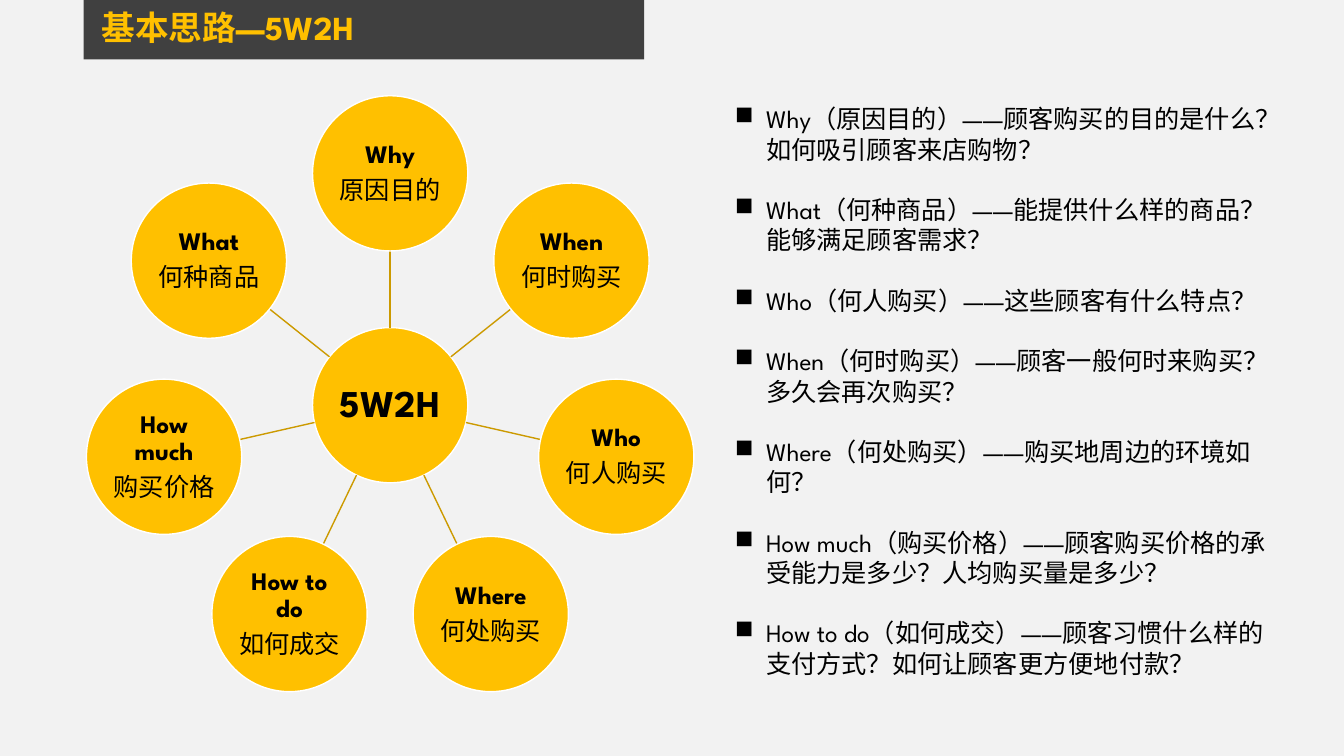
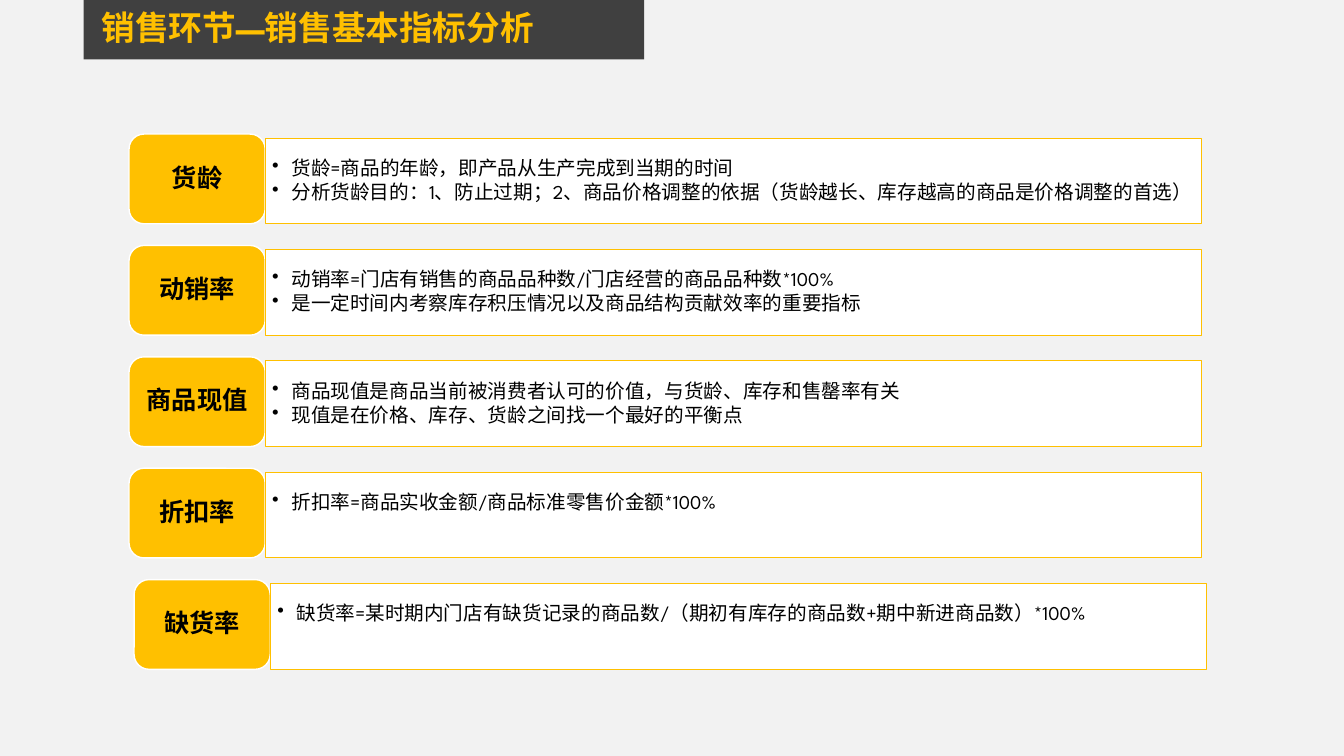
"""Build two slides on sales analysis."""
from dataclasses import dataclass
from math import cos, pi, sin

from lxml.etree import SubElement
from pptx import Presentation
from pptx.dml.color import RGBColor
from pptx.enum.shapes import MSO_CONNECTOR, MSO_SHAPE
from pptx.enum.text import MSO_ANCHOR, PP_ALIGN
from pptx.oxml.ns import qn
from pptx.util import Inches, Pt


@dataclass(frozen=True)
class Theme:
    """Hold the colours, font and type sizes."""
    page: str = "F2F2F2"
    band: str = "404040"
    gold: str = "FFC000"
    spoke: str = "CC9A00"
    white: str = "FFFFFF"
    ink: str = "000000"
    font: str = "League Spartan"
    title: int = 24
    hub: int = 27
    body: int = 18
    note: int = 14


THEME = Theme()

WHEEL = [
    ("Why", "原因目的"),
    ("When", "何时购买"),
    ("Who", "何人购买"),
    ("Where", "何处购买"),
    ("How to do", "如何成交"),
    ("How much", "购买价格"),
    ("What", "何种商品"),
]

POINTS = [
    "Why（原因目的）——顾客购买的目的是什么？如何吸引顾客来店购物？",
    "What（何种商品）——能提供什么样的商品？能够满足顾客需求？",
    "Who（何人购买）——这些顾客有什么特点？",
    "When（何时购买）——顾客一般何时来购买？多久会再次购买？",
    "Where（何处购买）——购买地周边的环境如何？",
    "How much（购买价格）——顾客购买价格的承受能力是多少？人均购买量是多少？",
    "How to do（如何成交）——顾客习惯什么样的支付方式？如何让顾客更方便地付款？",
]

ROWS = [
    ("货龄", ["货龄=商品的年龄，即产品从生产完成到当期的时间",
            "分析货龄目的：1、防止过期；2、商品价格调整的依据（货龄越长、库存越高的商品是价格调整的首选）"]),
    ("动销率", ["动销率=门店有销售的商品品种数/门店经营的商品品种数*100%",
             "是一定时间内考察库存积压情况以及商品结构贡献效率的重要指标"]),
    ("商品现值", ["商品现值是商品当前被消费者认可的价值，与货龄、库存和售罄率有关",
              "现值是在价格、库存、货龄之间找一个最好的平衡点"]),
    ("折扣率", ["折扣率=商品实收金额/商品标准零售价金额*100%"]),
    ("缺货率", ["缺货率=某时期内门店有缺货记录的商品数/（期初有库存的商品数+期中新进商品数）*100%"]),
]


def write(frame, text, first=False, size=THEME.body, color=THEME.ink, bold=False,
          align=PP_ALIGN.LEFT, line=None, before=0, after=0, mark=None, indent=0):
    """Add one formatted paragraph to a text frame."""
    para = frame.paragraphs[0] if first else frame.add_paragraph()
    para.alignment = align
    if line:
        para.line_spacing = line
    para.space_before = Pt(0 if first else before)
    para.space_after = Pt(after)
    if mark:
        props = para._p.get_or_add_pPr()
        props.set("marL", str(Inches(indent)))
        props.set("indent", str(-Inches(indent)))
        SubElement(props, qn("a:buChar")).set("char", mark)
    run = para.add_run()
    run.text = text
    font = run.font
    font.name, font.size, font.bold = THEME.font, Pt(size), bold
    font.color.rgb = RGBColor.from_string(color)
    SubElement(run._r.get_or_add_rPr(), qn("a:ea")).set("typeface", THEME.font)


class Deck:
    """Hold the style and the current slide."""

    def __init__(self, theme):
        """Start a wide deck with the shared page colour."""
        self.theme = theme
        self.show = Presentation()
        self.show.slide_width, self.show.slide_height = Inches(13.33), Inches(7.5)
        self.paint(self.show.slide_master.background.fill, theme.page)
        self.slide = None

    def paint(self, fill, color):
        """Fill with one solid colour."""
        fill.solid()
        fill.fore_color.rgb = RGBColor.from_string(color)

    def pad(self, frame, sides, anchor):
        """Set wrap, insets and anchor of a text frame."""
        frame.word_wrap = True
        frame.vertical_anchor = anchor
        (frame.margin_left, frame.margin_top,
         frame.margin_right, frame.margin_bottom) = map(Inches, sides)
        return frame

    def page(self, title):
        """Add a slide with its title band."""
        self.slide = self.show.slides.add_slide(self.show.slide_layouts[6])
        self.shape(MSO_SHAPE.RECTANGLE, (0.83, 0, 5.56, 0.59), self.theme.band)
        frame = self.text((0.91, 0.06, 5.4, 0.5))
        write(frame, title, first=True, size=self.theme.title,
              color=self.theme.gold, bold=True, line=0.9)

    def text(self, box):
        """Add a text box and return its frame."""
        area = self.slide.shapes.add_textbox(*map(Inches, box))
        return self.pad(area.text_frame, (0.1, 0.05, 0.1, 0.05), MSO_ANCHOR.TOP)

    def shape(self, kind, box, fill, edge=None, width=1, sides=(0, 0, 0, 0)):
        """Add a filled shape and return its frame."""
        form = self.slide.shapes.add_shape(kind, *map(Inches, box))
        form.shadow.inherit = False
        self.paint(form.fill, fill)
        if edge:
            self.paint(form.line.fill, edge)
            form.line.width = Pt(width)
        else:
            form.line.fill.background()
        return self.pad(form.text_frame, sides, MSO_ANCHOR.MIDDLE)

    def disc(self, x, y, size):
        """Add a gold circle around a centre."""
        return self.shape(MSO_SHAPE.OVAL, (x - size / 2, y - size / 2, size, size),
                          self.theme.gold, self.theme.white, sides=(0.02,) * 4)

    def spoke(self, start, end):
        """Add a thin straight line."""
        line = self.slide.shapes.add_connector(
            MSO_CONNECTOR.STRAIGHT, *map(Inches, (*start, *end)))
        self.paint(line.line.fill, self.theme.spoke)
        line.line.width = Pt(1)
        SubElement(line._element.spPr, qn("a:effectLst"))

    def wheel(self, x, y, reach, size, hub, items):
        """Add a hub with circles spaced evenly around it."""
        style = dict(bold=True, align=PP_ALIGN.CENTER, line=0.9)
        write(self.disc(x, y, size), hub, first=True, size=self.theme.hub, **style)
        for rank, (name, gloss) in enumerate(items):
            turn = 2 * pi * rank / len(items)
            start, end, spot = [(x + far * sin(turn), y - far * cos(turn))
                                for far in (size / 2, reach - size / 2, reach)]
            self.spoke(start, end)
            frame = self.disc(*spot, size)
            write(frame, name, first=True, after=6.3, **style)
            write(frame, gloss, **{**style, "bold": False})

    def points(self, box, items):
        """Add a list with square bullets."""
        frame = self.text(box)
        for rank, item in enumerate(items):
            write(frame, item, first=rank == 0, before=21.6, mark="■", indent=0.31)

    def row(self, x, y, label, notes):
        """Add a gold label beside its box of notes."""
        theme = self.theme
        frame = self.shape(MSO_SHAPE.ROUNDED_RECTANGLE, (x, y, 1.35, 0.89),
                           theme.gold, theme.white, sides=(0.07,) * 4)
        write(frame, label, first=True, bold=True, align=PP_ALIGN.CENTER, line=0.9)
        foot = 0.04 if len(notes) > 1 else 0.28
        frame = self.shape(MSO_SHAPE.RECTANGLE, (x + 1.35, y + 0.04, 9.29, 0.85),
                           theme.white, theme.gold, 0.75, (0.07, 0.04, 0.07, foot))
        for rank, note in enumerate(notes):
            write(frame, note, first=rank == 0, size=theme.note, line=0.9,
                  after=2.1, mark="•", indent=0.19)


def main():
    """Build and save the deck."""
    deck = Deck(THEME)
    deck.page("基本思路—5W2H")
    deck.wheel(3.87, 4.02, 2.3, 1.54, "5W2H", WHEEL)
    deck.points((7.19, 0.98, 5.52, 5.86), POINTS)

    deck.page("销售环节—销售基本指标分析")
    for rank, (label, notes) in enumerate(ROWS):
        left = 1.33 if rank == len(ROWS) - 1 else 1.28
        deck.row(left, 1.33 + 1.105 * rank, label, notes)
    deck.show.save("out.pptx")


if __name__ == "__main__":
    main()
